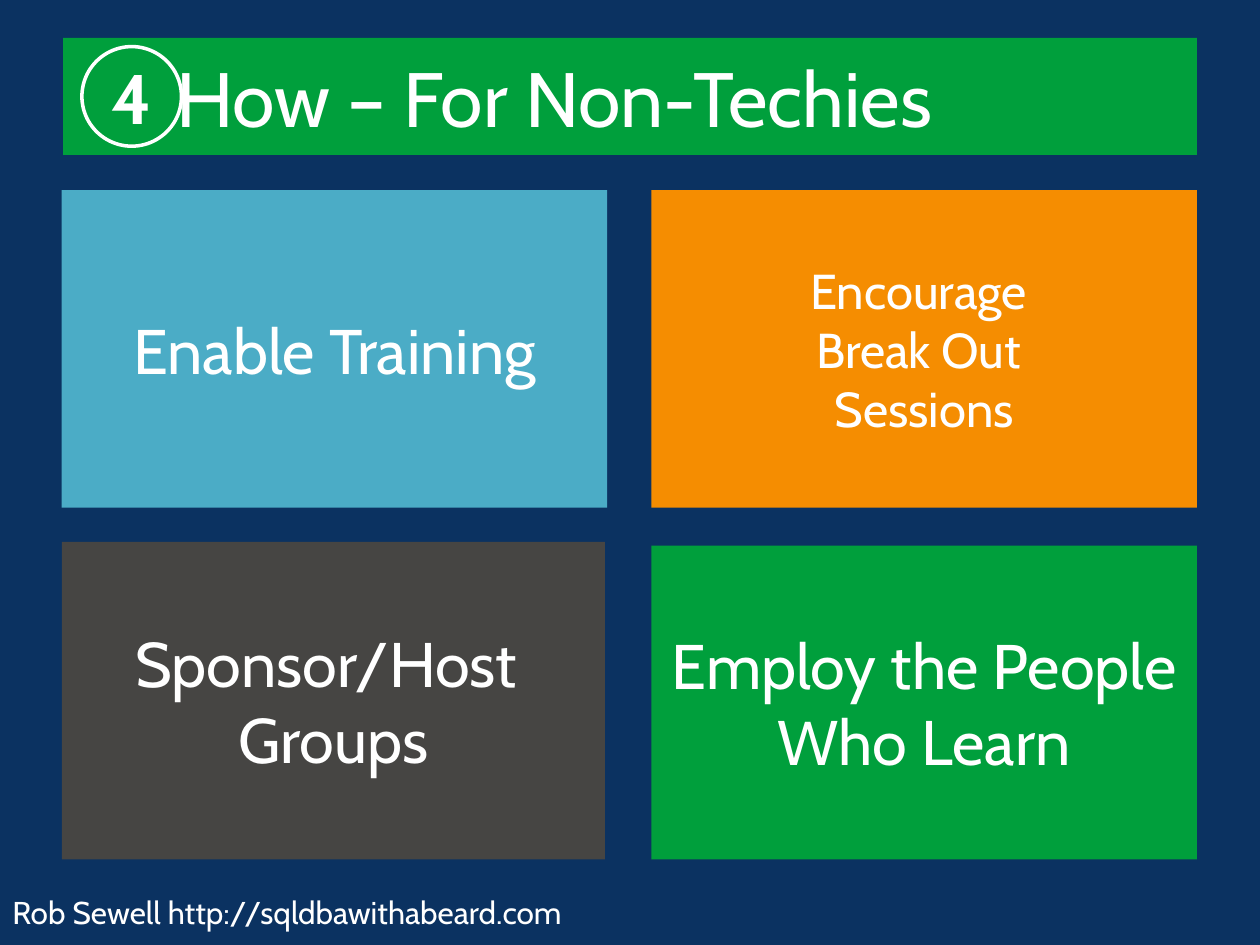
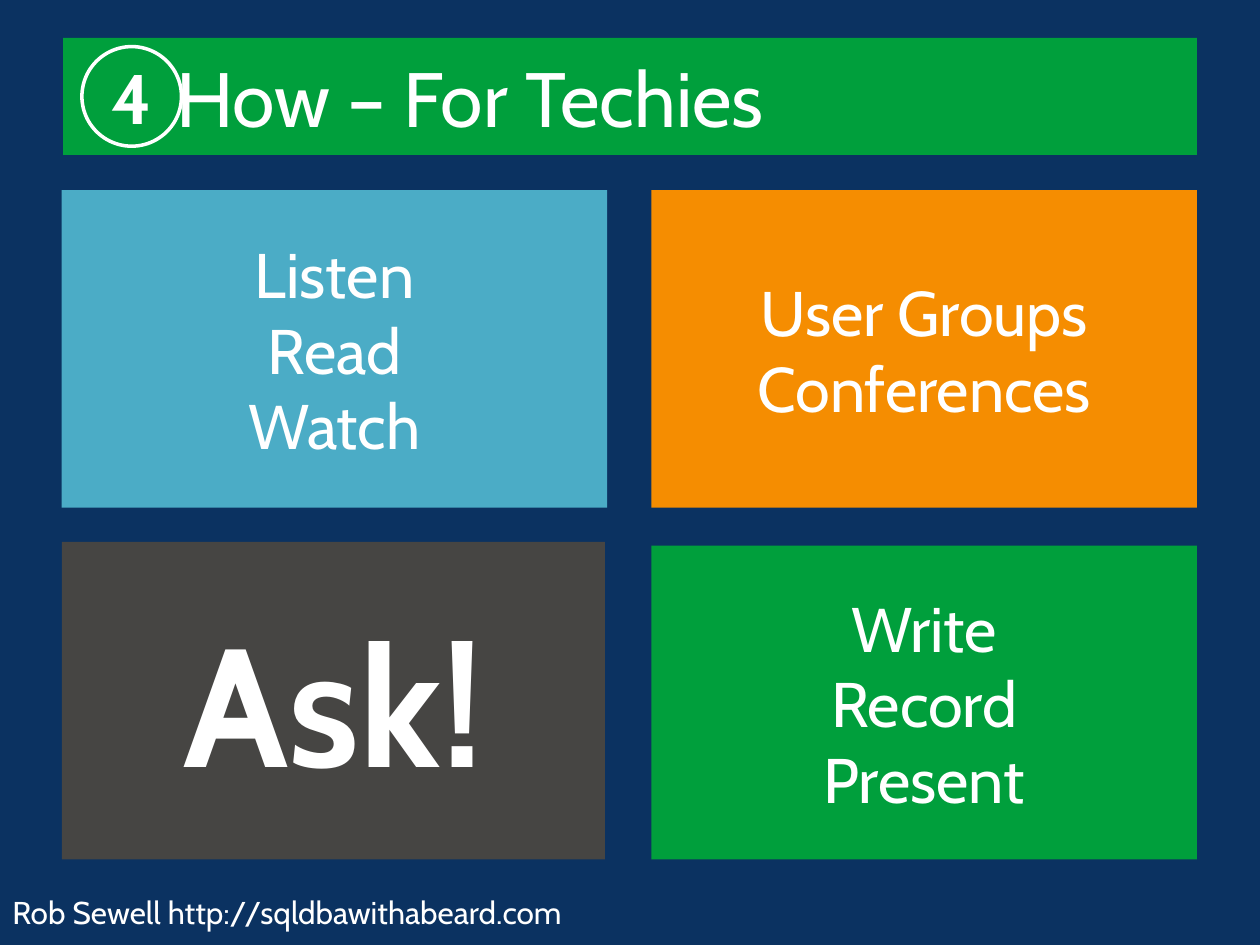
"""Build two tiled slides on how techies and non-techies can take part."""
from pptx import Presentation
from pptx.dml.color import RGBColor
from pptx.enum.shapes import MSO_SHAPE
from pptx.enum.text import MSO_ANCHOR, MSO_AUTO_SIZE, PP_ALIGN
from pptx.util import Inches, Pt

NAVY = RGBColor(0x0B, 0x32, 0x61)
GREEN = RGBColor(0x00, 0x9F, 0x3C)
BLUE = RGBColor(0x4B, 0xAC, 0xC6)
ORANGE = RGBColor(0xF5, 0x8D, 0x01)
GREY = RGBColor(0x46, 0x45, 0x43)
WHITE = RGBColor(0xFF, 0xFF, 0xFF)
FONT = "Cabin"
SECTION = "4"
FOOTER = "Rob Sewell http://sqldbawithabeard.com"

TILES = [
    (BLUE, (0.49, 1.51, 4.33, 2.52)),
    (ORANGE, (5.17, 1.51, 4.33, 2.52)),
    (GREY, (0.49, 4.3, 4.31, 2.52)),
    (GREEN, (5.17, 4.33, 4.33, 2.49)),
]

SLIDES = [
    ("How – For Non-Techies", [
        (["Enable Training"], {}),
        (["Encourage ", "Break Out ", "Sessions"], {"size": 28}),
        (["Sponsor/Host ", "Groups"], {}),
        (["Employ the People Who Learn"], {}),
    ]),
    ("How – For Techies", [
        (["Listen", "Read", "Watch"], {}),
        (["User Groups", "Conferences"], {}),
        (["Ask!"], {"size": 96, "bold": True}),
        (["Write", "Record", "Present"], {}),
    ]),
]


def write_text(box, lines, size=36, bold=False, align=PP_ALIGN.CENTER,
               anchor=MSO_ANCHOR.MIDDLE):
    """Write one paragraph per line into a shape."""
    frame = box.text_frame
    frame.word_wrap = True
    frame.auto_size = MSO_AUTO_SIZE.NONE
    frame.vertical_anchor = anchor
    for index, line in enumerate(lines):
        para = frame.add_paragraph() if index else frame.paragraphs[0]
        para.alignment = align
        span = para.add_run()
        span.text = line
        span.font.name = FONT
        span.font.size = Pt(size)
        span.font.bold = bold
        span.font.color.rgb = WHITE


def add_tile(page, color, place, lines, **text_format):
    """Add a flat coloured rectangle with centred text."""
    tile = page.shapes.add_shape(MSO_SHAPE.RECTANGLE, *map(Inches, place))
    tile.shadow.inherit = False
    tile.fill.solid()
    tile.fill.fore_color.rgb = color
    tile.line.fill.background()
    write_text(tile, lines, **text_format)


def add_title_band(page, title):
    """Turn the title placeholder into the green band."""
    band = page.shapes.title
    band.left, band.top, band.width, band.height = map(Inches, (0.5, 0.3, 9, 0.93))
    band.fill.solid()
    band.fill.fore_color.rgb = GREEN
    write_text(band, [title], size=44, align=PP_ALIGN.LEFT)
    band.text_frame.margin_left = Inches(0.9)


def add_number_badge(page, number):
    """Add the outlined circle with the section number."""
    badge = page.shapes.add_shape(
        MSO_SHAPE.OVAL, *map(Inches, (0.65, 0.37, 0.79, 0.79)))
    badge.shadow.inherit = False
    badge.fill.background()
    badge.line.color.rgb = WHITE
    badge.line.width = Pt(2)
    write_text(badge, [number], size=40, bold=True)
    frame = badge.text_frame
    frame.margin_left = frame.margin_right = 0
    frame.margin_top = frame.margin_bottom = 0


def add_footer(page):
    """Add the author line at the foot of the slide."""
    box = page.shapes.add_textbox(*map(Inches, (0, 7.04, 8.5, 0.34)))
    write_text(box, [FOOTER], size=18, align=PP_ALIGN.LEFT, anchor=MSO_ANCHOR.TOP)


def add_page(deck, title, contents):
    """Add one slide with its title band, badge, tiles and footer."""
    page = deck.slides.add_slide(deck.slide_layouts.get_by_name("Title Only"))
    add_title_band(page, title)
    add_number_badge(page, SECTION)
    for (color, place), (lines, text_format) in zip(TILES, contents):
        add_tile(page, color, place, lines, **text_format)
    add_footer(page)


def main():
    """Build and save the deck."""
    deck = Presentation()
    deck.slide_width, deck.slide_height = Inches(10), Inches(7.5)
    background = deck.slide_master.background.fill
    background.solid()
    background.fore_color.rgb = NAVY
    for title, contents in SLIDES:
        add_page(deck, title, contents)
    deck.save("out.pptx")


if __name__ == "__main__":
    main()
